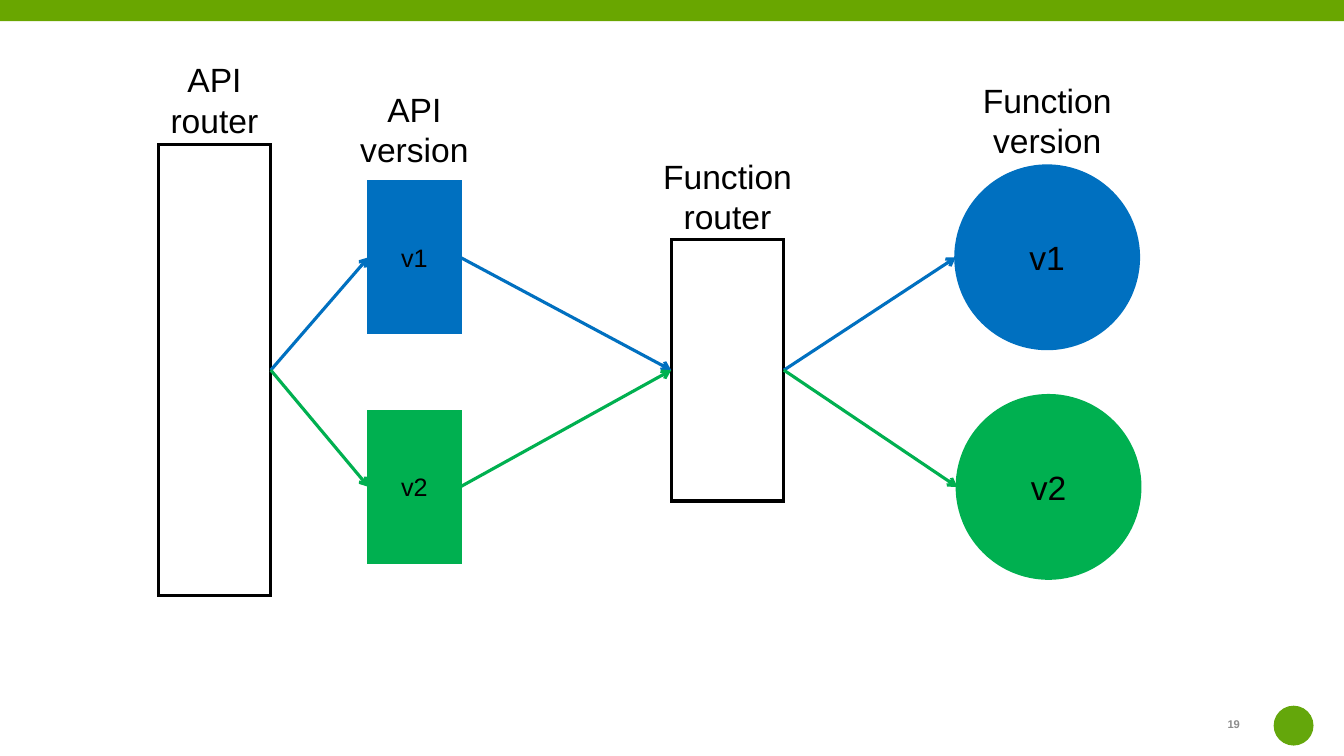
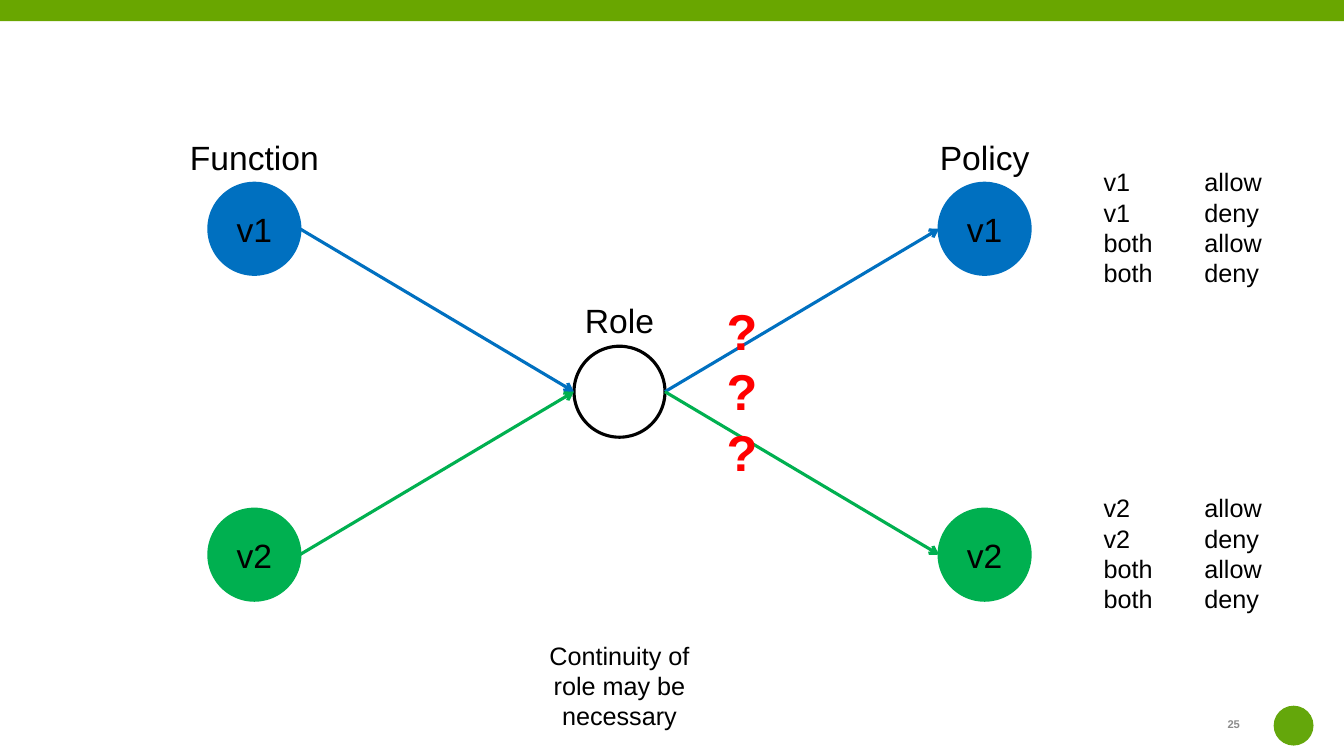
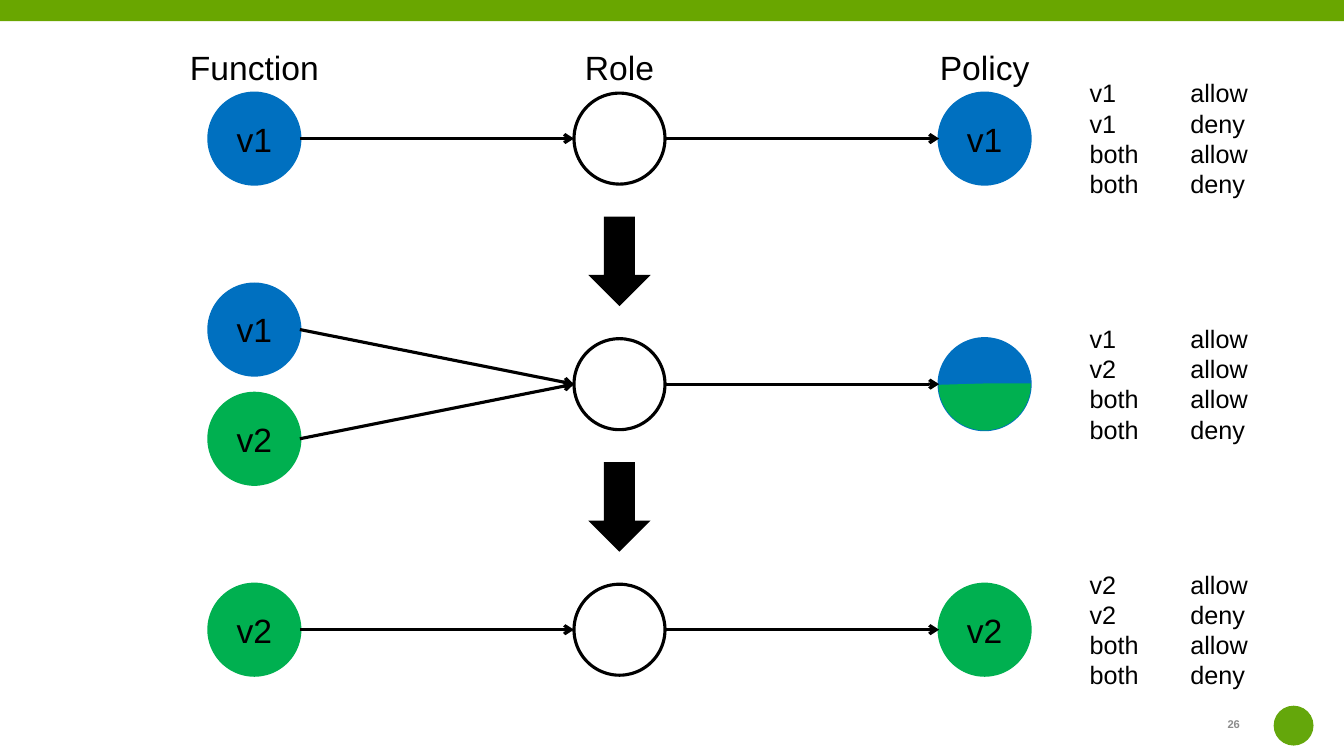
from lxml.etree import SubElement
from pptx import Presentation
from pptx.dml.color import RGBColor
from pptx.enum.shapes import MSO_CONNECTOR, MSO_SHAPE
from pptx.enum.text import MSO_ANCHOR, MSO_AUTO_SIZE, PP_ALIGN
from pptx.oxml.ns import qn
from pptx.util import Pt

BLACK, BLUE, GREEN, RED = "000000", "0070C0", "00B050", "FF0000"
BAND, LOGO, GREY = "69A600", "64A70B", "8C8C8C"
RECT, OVAL = MSO_SHAPE.RECTANGLE, MSO_SHAPE.OVAL
COLS = FUNC, ROLE, POLICY = 181.7, 442.5, 703.3
HEADS = "Function", "Role", "Policy"


def color(code):
    return RGBColor.from_string(code)


class Deck:
    font, line, dot = "Arial", 2.25, 65

    def __init__(self):
        self.prs = Presentation()
        self.prs.slide_width, self.prs.slide_height = Pt(960), Pt(540)

    def page(self, num):
        """Start a slide with the shared band, badge and number."""
        self.slide = self.prs.slides.add_slide(self.prs.slide_layouts[6])
        self.shape(RECT, 480, 7.6, 960, 15.2, BAND, width=0)
        self.shape(OVAL, 924, 518.3, 28.5, 28.5, LOGO, width=0)
        self.text(num, 882, 509, 24.5, 17, 8, GREY, True, PP_ALIGN.LEFT)

    def style(self, frame, text, size, code, bold, align):
        frame.text = text
        for para in frame.paragraphs:
            para.alignment = align
            for run in para.runs:
                font = run.font
                font.name, font.size, font.bold = self.font, Pt(size), bold
                font.color.rgb = color(code)

    def shape(self, kind, mid, cy, w, h, fill=None, text="", size=24, width=line):
        """Place a shape by its centre."""
        item = self.slide.shapes.add_shape(
            kind, Pt(mid - w / 2), Pt(cy - h / 2), Pt(w), Pt(h))
        item.shadow.inherit = False
        if fill:
            item.fill.solid()
            item.fill.fore_color.rgb = color(fill)
        else:
            item.fill.background()
        if width:
            item.line.color.rgb = color(fill or BLACK)
            item.line.width = Pt(width)
            SubElement(item.line._get_or_add_ln(), qn("a:miter"), lim="800000")
        else:
            item.line.fill.background()
        if text:
            frame = item.text_frame
            frame.vertical_anchor = MSO_ANCHOR.MIDDLE
            self.style(frame, text, size, BLACK, False, PP_ALIGN.CENTER)
        return item

    def node(self, mid, cy, fill=None, text=""):
        return self.shape(OVAL, mid, cy, self.dot, self.dot, fill, text)

    def text(self, text, mid, top, w, h, size=24, code=BLACK, bold=False,
             align=PP_ALIGN.CENTER, wrap=False):
        """Place a text box by its top centre."""
        box = self.slide.shapes.add_textbox(Pt(mid - w / 2), Pt(top), Pt(w), Pt(h))
        frame = box.text_frame
        frame.word_wrap = wrap
        frame.auto_size = MSO_AUTO_SIZE.SHAPE_TO_FIT_TEXT
        self.style(frame, text, size, code, bold, align)
        return frame

    def head(self, text, mid, cy):
        """Put a heading above a node."""
        self.text(text, mid, cy - 69, 108, 36)

    def rules(self, rows, left, cy):
        """List rules in two columns, split by a tab stop."""
        text = "\n".join("\t".join(row.split()) for row in rows)
        frame = self.text(text, left + 64.5, cy - 47.4, 129, 94.5, 18,
                          align=PP_ALIGN.LEFT)
        for para in frame.paragraphs:
            tabs = SubElement(para._p.get_or_add_pPr(), qn("a:tabLst"))
            SubElement(tabs, qn("a:tab"), pos=str(Pt(72)), algn="l")

    def link(self, start, end, code=BLACK):
        """Draw an arrow from a right side to a left side."""
        wire = self.slide.shapes.add_connector(
            MSO_CONNECTOR.STRAIGHT,
            start.left + start.width, start.top + start.height // 2,
            end.left, end.top + end.height // 2)
        if start.auto_shape_type == RECT:
            wire.begin_connect(start, 3)
        if end.auto_shape_type == RECT:
            wire.end_connect(end, 1)
        wire.line.color.rgb = color(code)
        wire.line.width = Pt(self.line)
        SubElement(wire.line._get_or_add_ln(), qn("a:tailEnd"), type="arrow")
        SubElement(wire._element.spPr, qn("a:effectLst"))


def routes(deck):
    deck.page("19")
    for text, mid, top in (("API\nrouter", 153.2, 38.7), ("API\nversion", 296, 60),
                           ("Function\nrouter", 519.7, 107.8),
                           ("Function\nversion", 748, 53.5)):
        deck.text(text, mid, top, 108, 65.5)
    api = deck.shape(RECT, 153.2, 264.4, 80.5, 322.5)
    func = deck.shape(RECT, 519.7, 264.4, 80.5, 187)
    for name, code, cy, mid in (("v1", BLUE, 183.8, 748), ("v2", GREEN, 347.8, 749)):
        ver = deck.shape(RECT, 296, cy, 65.5, 108, code, name, 18)
        goal = deck.shape(OVAL, mid, cy, 130.5, 130.5, code, name)
        for start, end in ((api, ver), (ver, func), (func, goal)):
            deck.link(start, end, code)


def shared(deck):
    deck.page("25")
    mid, gap = 279.8, 116.4
    role = deck.node(ROLE, mid)
    for text, x, cy in zip(HEADS, COLS, (mid - gap, mid, mid - gap)):
        deck.head(text, x, cy)
    for name, code, cy in (("v1", BLUE, mid - gap), ("v2", GREEN, mid + gap)):
        deck.link(deck.node(FUNC, cy, code, name), role, code)
        deck.link(role, deck.node(POLICY, cy, code, name), code)
        deck.rules((name + " allow", name + " deny", "both allow", "both deny"),
                   781.2, cy - 0.4)
    deck.text("Continuity of role may be necessary", ROLE, 453.5, 124.5, 72.5,
              18, wrap=True)
    deck.text("?\n?\n?", 530, 210.8, 36.5, 138, 36, RED, True)


def steps(deck):
    deck.page("26")
    top, gap, split = 99, 175.4, 39
    v1, v2 = ("v1", BLUE, 0), ("v2", GREEN, 0)
    # Each stage: functions with offset, policy, first two rules
    stages = (
        ([v1], v1, ("v1 allow", "v1 deny")),
        ([("v1", BLUE, -split), ("v2", GREEN, split)], ("", BLUE, 0),
         ("v1 allow", "v2 allow")),
        ([v2], v2, ("v2 allow", "v2 deny")),
    )
    for text, x in zip(HEADS, COLS):
        deck.head(text, x, top)
    for i, (funcs, (label, fill, _), pair) in enumerate(stages):
        cy = top + i * gap
        role = deck.node(ROLE, cy)
        for name, code, off in funcs:
            deck.link(deck.node(FUNC, cy + off, code, name), role)
        goal = deck.node(POLICY, cy, fill, label)
        if not label:
            # Lower half of the mixed policy
            half = deck.shape(MSO_SHAPE.PIE, POLICY, cy, deck.dot, deck.dot,
                              GREEN, width=1)
            half.adjustments[0], half.adjustments[1] = 0, 106.99
        deck.link(role, goal)
        deck.rules(pair + ("both allow", "both deny"), 771.2, cy + 0.4)
        if i:
            deck.shape(MSO_SHAPE.DOWN_ARROW, ROLE, cy - gap / 2, 44.5, 64,
                       BLACK, width=0)


def main():
    deck = Deck()
    for build in (routes, shared, steps):
        build(deck)
    deck.prs.save("out.pptx")


if __name__ == "__main__":
    main()
